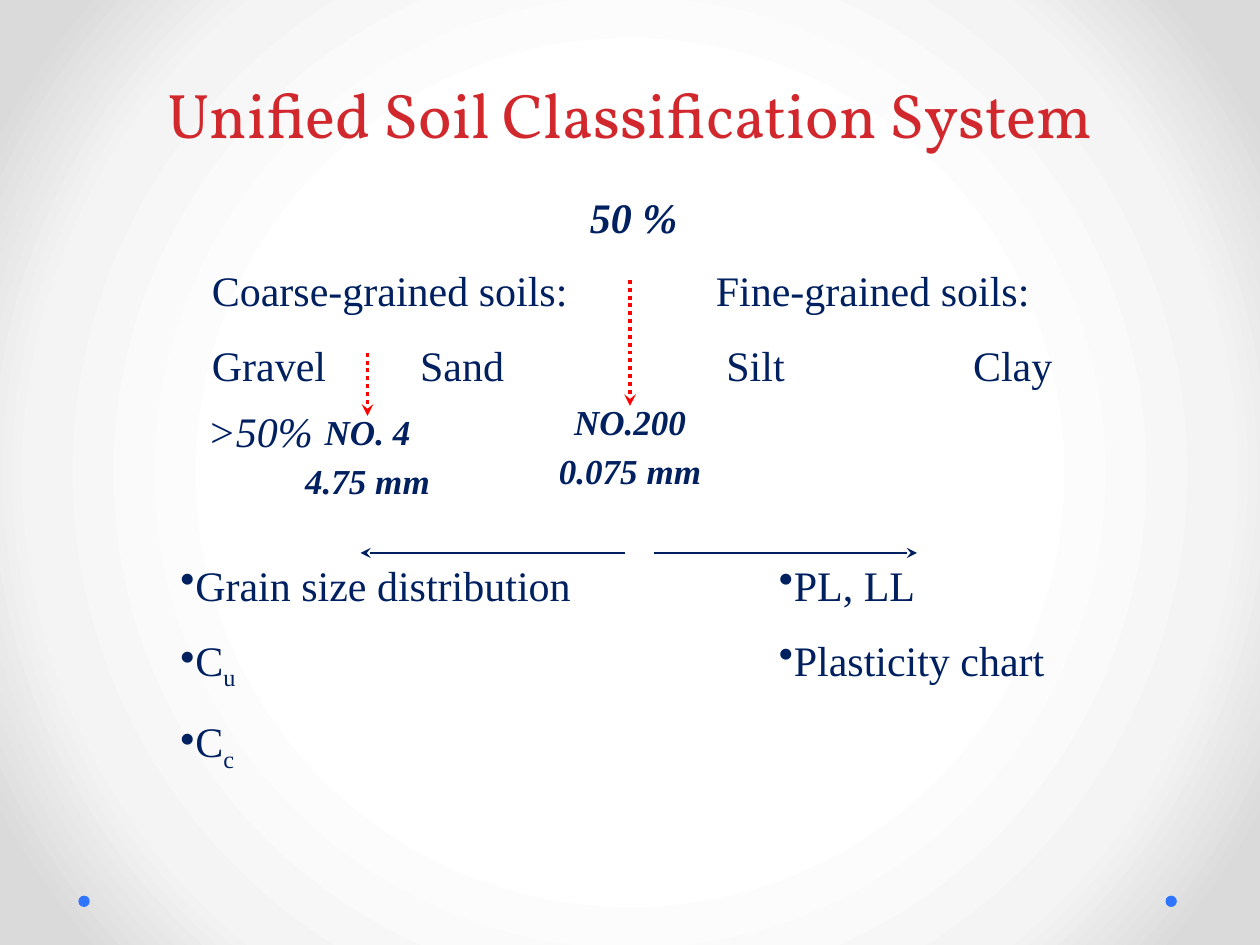
from lxml import etree
from pptx import Presentation
from pptx.dml.color import RGBColor
from pptx.enum import dml, shapes, text
from pptx.oxml.ns import qn
from pptx.util import Pt

NAVY = RGBColor(0x00, 0x20, 0x60)
RED = RGBColor(0xFF, 0x00, 0x00)
TITLE_RED = RGBColor(0xD1, 0x28, 0x2E)
BLUE = RGBColor(0x30, 0x75, 0xFF)
BACKGROUND_STOPS = [(50, "FFFFFF"), (76, "F4F4F4"), (92, "DADADA")]
BODY_FONT = "Times New Roman"
TITLE_FONT = "Vollkorn"


def add_child(parent, tag, **attributes):
    child = etree.SubElement(parent, qn(tag))
    for key, value in attributes.items():
        child.set(key, str(value))
    return child


def paint_background(slide):
    """Fill the slide with a gradient that darkens from the centre outwards."""
    slide.background.fill.gradient()
    gradient = slide.element.find(".//" + qn("a:gradFill"))
    for child in list(gradient):
        gradient.remove(child)
    stops = add_child(gradient, "a:gsLst")
    for percent, colour in BACKGROUND_STOPS:
        stop = add_child(stops, "a:gs", pos=percent * 1000)
        add_child(stop, "a:srgbClr", val=colour)
    circle = add_child(gradient, "a:path", path="circle")
    add_child(circle, "a:fillToRect", l=50000, t=50000, r=50000, b=50000)


def add_corner_dots(slide, lefts, top, size):
    for left in lefts:
        dot = slide.shapes.add_shape(shapes.MSO_SHAPE.OVAL, Pt(left), Pt(top), Pt(size), Pt(size))
        dot.shadow.inherit = False
        dot.fill.solid()
        dot.fill.fore_color.rgb = BLUE
        dot.line.fill.background()


def place_title(slide, left, top, width, height):
    title = slide.shapes.title
    title.left, title.top, title.width, title.height = Pt(left), Pt(top), Pt(width), Pt(height)
    frame = title.text_frame
    frame.text = "Unified Soil Classification System"
    frame.vertical_anchor = text.MSO_ANCHOR.BOTTOM
    frame.auto_size = text.MSO_AUTO_SIZE.NONE
    paragraph = frame.paragraphs[0]
    paragraph.alignment = text.PP_ALIGN.CENTER
    paragraph.line_spacing = Pt(58)
    font = paragraph.runs[0].font
    font.name, font.size, font.color.rgb = TITLE_FONT, Pt(36), TITLE_RED


def add_text(slide, left, top, width, height, lines, size=24, gap=14, bold=False, italic=False):
    """Add a text box; a line is a string or a (base, subscript) pair."""
    box = slide.shapes.add_textbox(Pt(left), Pt(top), Pt(width), Pt(height))
    frame = box.text_frame
    frame.word_wrap = True
    for index, line in enumerate(lines):
        paragraph = frame.add_paragraph() if index else frame.paragraphs[0]
        if index:
            paragraph.space_before = Pt(gap)
        base, *subscripts = [line] if isinstance(line, str) else line
        paragraph.text = base
        for subscript in subscripts:
            run = paragraph.add_run()
            run.text = subscript
            run.font._element.set("baseline", "-25000")
        for run in paragraph.runs:
            font = run.font
            font.name, font.size, font.color.rgb = BODY_FONT, Pt(size), NAVY
            font.bold, font.italic = bold, italic
    return box


def add_arrow(slide, start, end, colour, width, dash=None):
    points = [Pt(value) for value in (*start, *end)]
    arrow = slide.shapes.add_connector(shapes.MSO_CONNECTOR.STRAIGHT, *points)
    arrow.line.color.rgb = colour
    arrow.line.width = Pt(width)
    if dash:
        arrow.line.dash_style = dash
    properties = arrow._element.spPr
    add_child(properties.find(qn("a:ln")), "a:tailEnd", type="stealth")
    add_child(properties, "a:effectLst")
    return arrow


def add_soil_branch(slide, left, top, heading, kinds, stops):
    """Add a heading with its soil kinds set on tab stops below it."""
    branch = add_text(slide, left, top, 258, 79, [heading, kinds])
    tabs = add_child(branch.text_frame.paragraphs[1]._p.get_or_add_pPr(), "a:tabLst")
    for stop in stops:
        add_child(tabs, "a:tab", pos=Pt(stop), algn="l")


def add_sieve_limit(slide, centre, top, arrow_length, lines):
    """Add a dotted arrow that points down to the sieve number and opening."""
    width = 96
    label_top = top + arrow_length
    label = add_text(slide, centre - width / 2, label_top, width, 53, lines,
                     size=20, gap=11, bold=True, italic=True)
    for paragraph in label.text_frame.paragraphs:
        paragraph.alignment = text.PP_ALIGN.CENTER
        paragraph.line_spacing = 0.7
    arrow = add_arrow(slide, (centre, top), (centre, label_top), RED, 2.25,
                      dml.MSO_LINE.ROUND_DOT)
    arrow.end_connect(label, 0)


def add_tests(slide, left, top, width, height, arrow_from, arrow_to, tests):
    """Add the bulleted tests of a branch under the arrow that leads to them."""
    add_arrow(slide, (arrow_from, top), (arrow_to, top), NAVY, 1.5)
    box = add_text(slide, left, top, width, height, tests)
    for paragraph in box.text_frame.paragraphs:
        add_child(paragraph._p.get_or_add_pPr(), "a:buChar", char="•")


def main():
    deck = Presentation()
    deck.slide_width, deck.slide_height = Pt(720), Pt(540)
    slide = deck.slides.add_slide(deck.slide_layouts[5])
    paint_background(slide)
    add_corner_dots(slide, (44.8, 666), 511.8, 6.5)
    place_title(slide, 36, 0, 648, 90)

    add_soil_branch(slide, 114, 147.6, "Coarse-grained soils:", "Gravel\tSand", [119])
    add_soil_branch(slide, 402, 147.6, "Fine-grained soils:", "\tSilt\tClay", [6, 147])
    add_text(slide, 330, 106, 72, 36, ["50 %"], bold=True, italic=True)
    add_text(slide, 111.6, 228, 78, 36, [">50%"], italic=True)
    add_sieve_limit(slide, 360, 160, 72, ["NO.200", "0.075 mm"])
    add_sieve_limit(slide, 210, 201.6, 36, ["NO. 4", "4.75 mm"])

    add_tests(slide, 96, 316, 246, 122, 357, 206,
              ["Grain size distribution", ("C", "u"), ("C", "c")])
    add_tests(slide, 438, 316, 192, 79, 373.5, 524, ["PL, LL", "Plasticity chart"])
    deck.save("out.pptx")


if __name__ == "__main__":
    main()
